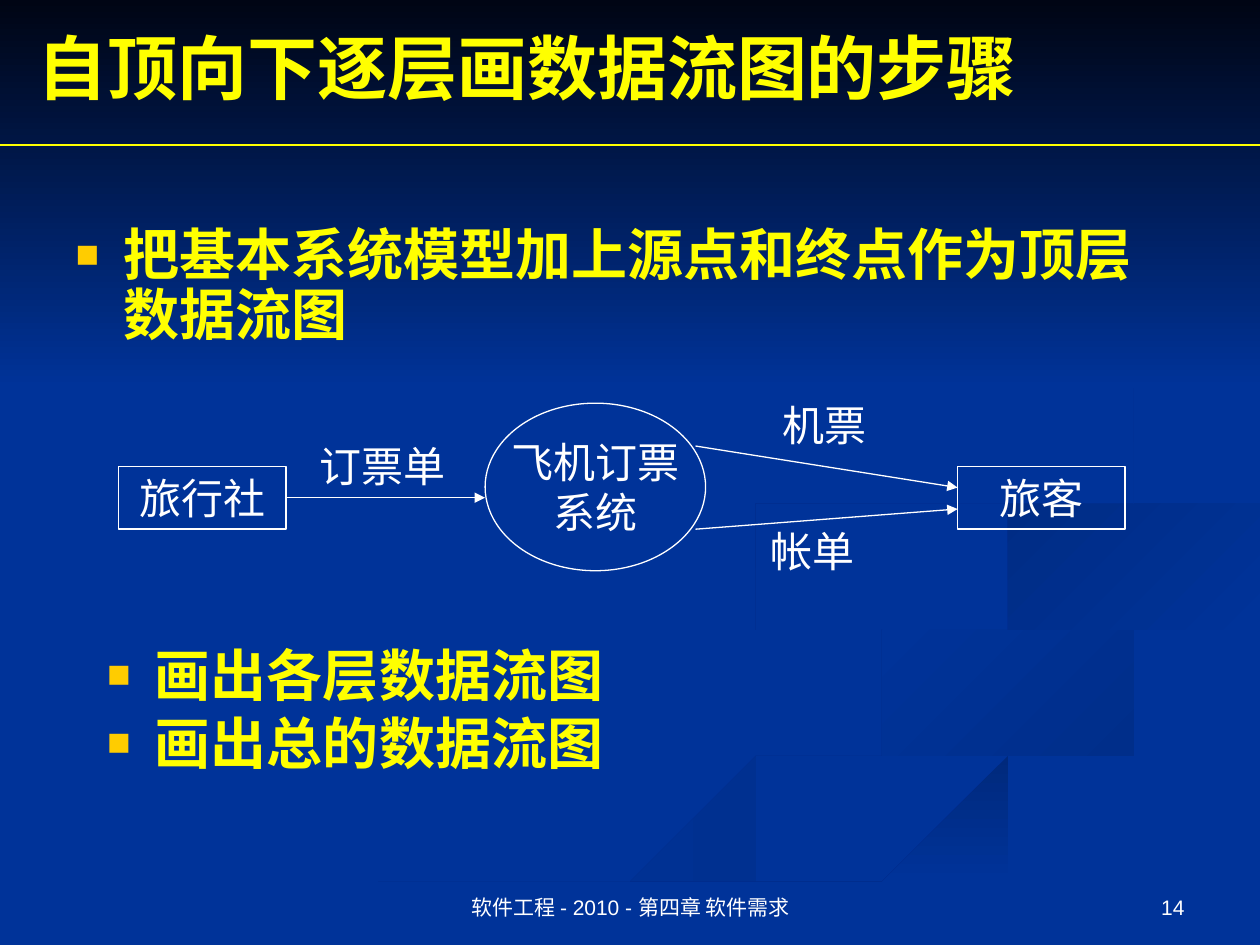
from lxml import etree
from pptx import Presentation
from pptx.dml.color import RGBColor
from pptx.enum.shapes import MSO_CONNECTOR, MSO_SHAPE
from pptx.enum.text import MSO_ANCHOR, MSO_AUTO_SIZE, PP_ALIGN
from pptx.oxml.ns import qn
from pptx.util import Inches, Pt

# Content
TITLE = "自顶向下逐层画数据流图的步骤"
LISTS = [  # items, box, line spacing
    (["把基本系统模型加上源点和终点作为顶层数据流图"], (0.5, 1.75, 9, 1.13), 0.9),
    (["画出各层数据流图", "画出总的数据流图"], (0.75, 5.14, 9, 1.13), 0.8),
]
NODES = [
    (MSO_SHAPE.RECTANGLE, ["旅行社"], (0.94, 3.7, 1.33, 0.5)),
    (MSO_SHAPE.RECTANGLE, ["旅客"], (7.6, 3.7, 1.33, 0.5)),
    (MSO_SHAPE.OVAL, ["飞机订票", "系统"], (3.85, 3.2, 1.75, 1.33)),
]
FLOWS = [  # label, label box, arrow ends
    ("订票单", (2.44, 3.45, 1.2, 0.5), (2.27, 3.95, 3.85, 3.95)),
    ("机票", (6.11, 3.12, 0.86, 0.5), (5.52, 3.54, 7.6, 3.87)),
    ("帐单", (6.02, 4.12, 0.86, 0.5), (5.52, 4.2, 7.6, 4.04)),
]
FOOT = [
    ("软件工程 - 2010 - 第四章 软件需求", (3.42, 6.83, 3.17, 0.52), PP_ALIGN.CENTER),
    ("14", (7.17, 6.83, 2.33, 0.52), PP_ALIGN.RIGHT),
]

# Look
HUES = {"back": "003399", "night": "000514", "text": "FFFFFF", "head": "FFFF00",
        "mark": "FFCC00", "dim": "002E8A", "deep": "00297C", "dusk": "002C85",
        "shade": "002B81"}
BIG = {"name": "Times New Roman", "size": Pt(40), "bold": True}
ITEM = {**BIG, "size": Pt(32)}
NOTE = {"name": "Times New Roman", "size": Pt(24)}
SMALL = {"name": "Arial", "size": Pt(12)}

# Background ribbons: start hue, end hue, clockwise angle, edge out, edge back
RIBBONS = [
    ("dim", "back", 180,
     [(5.75, 4.59), (6, 4.9), (7.67, 5.47), (8, 5.81), (7.69, 6.09), (5, 6.87), (3.61, 7.49)],
     [(3, 7.49), (4.58, 6.74), (6.84, 6.13), (7.86, 5.66), (6.8, 5.2), (5.75, 4.59)]),
    ("dim", "back", 225,
     [(7.24, 4.64), (7.74, 5.03), (8.88, 5.35), (9.43, 5.7), (8.94, 6.05)],
     [(8.94, 6.05), (9.18, 5.81), (8.54, 5.39), (7.66, 5.12), (7.24, 4.64)]),
    ("deep", "back", 90,
     [(5.03, 7.49), (7, 6.69), (9.98, 5.81)],
     [(9.98, 6.09), (7.52, 6.72), (5.71, 7.49)]),
    ("back", "dusk", 225,
     [(8.26, 4.96), (7.81, 4.6), (8.35, 4.3), (9.98, 4.02)],
     [(9.98, 4.2), (8.43, 4.48), (8.05, 4.76), (8.26, 4.96)]),
    ("back", "shade", 225,
     [(7.62, 2.33), (8.73, 3), (8.94, 3.44), (8.25, 4.02), (6.83, 4.3), (5.94, 4.65), (6.22, 5)],
     [(6.22, 5), (5.77, 4.62), (6.49, 4.2), (8.18, 3.86), (8.89, 3.35), (7.62, 2.33)]),
]
STEPS = 6


def rgb(hue):
    return RGBColor.from_string(HUES[hue])


def span(box):
    return [Inches(n) for n in box]


def smooth(knots):
    """Run a Catmull-Rom curve through the knots."""
    ends = [knots[0], *knots, knots[-1]]
    curve = [knots[0]]
    for quad in zip(ends, ends[1:], ends[2:], ends[3:]):
        for step in range(1, STEPS + 1):
            t = step / STEPS
            curve.append(tuple(
                b + t * (c - a + t * (2 * a - 5 * b + 4 * c - d
                                      + t * (3 * b - a - 3 * c + d))) / 2
                for a, b, c, d in zip(*quad)))
    return curve


def fade(shape, start, end, angle):
    shape.shadow.inherit = False
    shape.line.fill.background()
    shape.fill.gradient()
    shape.fill.gradient_angle = 360 - angle
    for stop, hue in zip(shape.fill.gradient_stops, (start, end)):
        stop.color.rgb = rgb(hue)


def write(frame, lines, font, hue="text", align=PP_ALIGN.LEFT, anchor=MSO_ANCHOR.TOP,
          wrap=True, bullet=False, lead=None):
    look = {"word_wrap": wrap, "vertical_anchor": anchor, "auto_size": MSO_AUTO_SIZE.NONE}
    for key, value in look.items():
        setattr(frame, key, value)
    for i, line in enumerate(lines):
        para = frame.add_paragraph() if i else frame.paragraphs[0]
        para.text, para.alignment = line, align
        if bullet:
            para.line_spacing, para.space_before = lead, Pt(8 if i else 0)
            dot(para)
        for key, value in font.items():
            setattr(para.font, key, value)
        para.font.color.rgb = rgb(hue)


def dot(para):
    props = para._p.get_or_add_pPr()
    props.set("marL", str(Inches(0.38)))
    props.set("indent", str(-Inches(0.38)))
    tint = etree.SubElement(props, qn("a:buClr"))
    etree.SubElement(tint, qn("a:srgbClr"), val=HUES["mark"])
    etree.SubElement(props, qn("a:buSzPct"), val="70000")
    etree.SubElement(props, qn("a:buFont"), typeface="Arial")
    etree.SubElement(props, qn("a:buChar"), char="■")


def place(shape, box):
    for key, value in zip(("left", "top", "width", "height"), span(box)):
        setattr(shape, key, value)


def link(ends, hue, head=False):
    line = shapes.add_connector(MSO_CONNECTOR.STRAIGHT, *span(ends))
    line.line.color.rgb, line.line.width = rgb(hue), Pt(0.75)
    if head:
        etree.SubElement(line.line._get_or_add_ln(), qn("a:tailEnd"), type="triangle")
    etree.SubElement(line._element.spPr, qn("a:effectLst"))


deck = Presentation()
deck.slide_width, deck.slide_height = Inches(10), Inches(7.5)
slide = deck.slides.add_slide(deck.slide_layouts[3])
shapes = slide.shapes
slide.background.fill.solid()
slide.background.fill.fore_color.rgb = rgb("back")
title, *bodies = list(slide.placeholders)

# Background ribbons and top fade
for start, end, angle, out, back in RIBBONS:
    rim = smooth(out) + smooth(back)
    pen = shapes.build_freeform(*rim[0], scale=Inches(1))
    pen.add_line_segments(rim[1:], close=True)
    fade(pen.convert_to_shape(), start, end, angle)
sky = shapes.add_shape(MSO_SHAPE.RECTANGLE, *span((0, 0, 10, 3.08)))
fade(sky, "night", "back", 90)

# Title and lists, raised above the background
for holder in (title, *bodies):
    shapes._spTree.append(holder._element)
place(title, (0.2, 0.14, 9, 0.77))
write(title.text_frame, [TITLE], BIG, "head", anchor=MSO_ANCHOR.MIDDLE)
for body, (items, box, lead) in zip(bodies, LISTS):
    place(body, box)
    write(body.text_frame, items, ITEM, "head", bullet=True, lead=lead)
link((0, 1.15, 10, 1.15), "head")

# Data flow diagram
for kind, lines, box in NODES:
    node = shapes.add_shape(kind, *span(box))
    node.shadow.inherit = False
    node.fill.background()
    node.line.color.rgb, node.line.width = rgb("text"), Pt(0.75)
    write(node.text_frame, lines, NOTE, align=PP_ALIGN.CENTER,
          anchor=MSO_ANCHOR.MIDDLE, wrap=False)
for label, box, ends in FLOWS:
    link(ends, "text", head=True)
    write(shapes.add_textbox(*span(box)).text_frame, [label], NOTE, wrap=False)

# Footer
for words, box, align in FOOT:
    write(shapes.add_textbox(*span(box)).text_frame, [words], SMALL,
          align=align, anchor=MSO_ANCHOR.BOTTOM)

deck.save("out.pptx")
